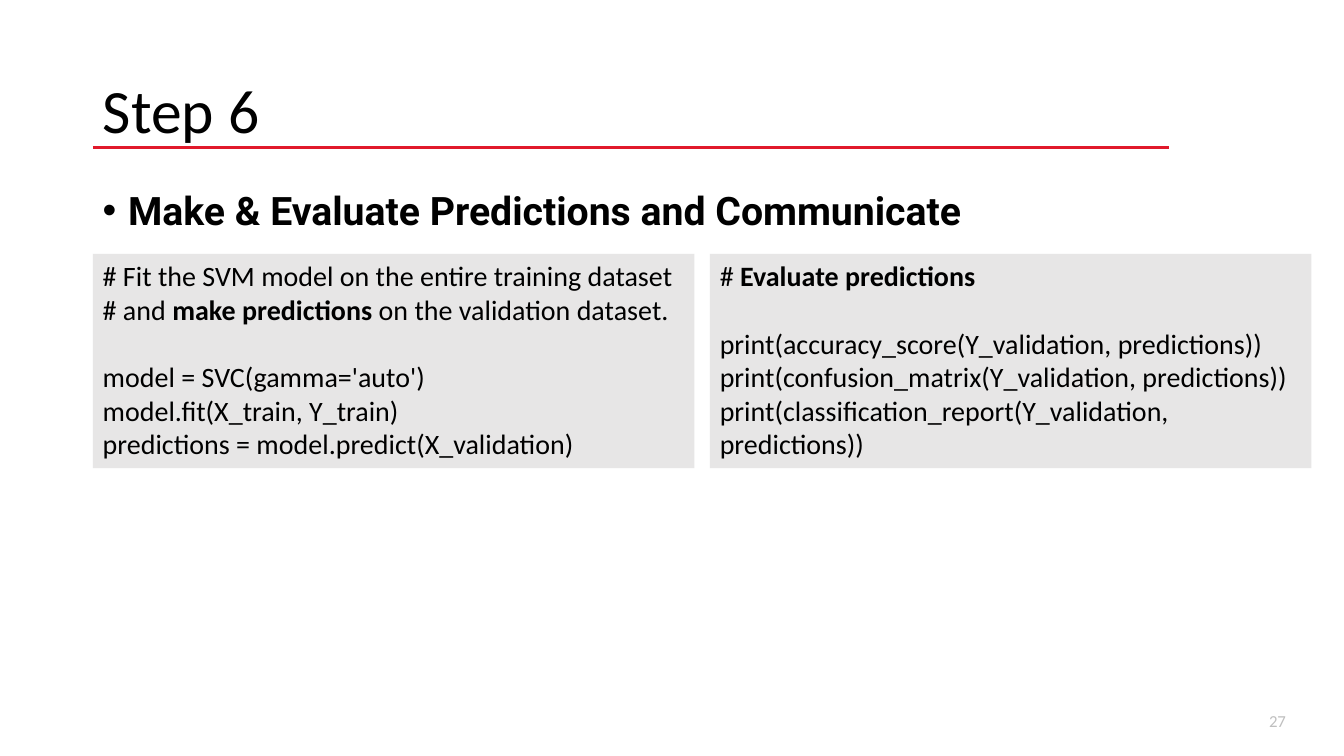
from lxml import etree
from pptx import Presentation
from pptx.dml.color import RGBColor
from pptx.enum.shapes import MSO_CONNECTOR, MSO_SHAPE
from pptx.enum.text import MSO_ANCHOR, MSO_AUTO_SIZE, PP_ALIGN
from pptx.oxml.ns import qn
from pptx.util import Cm, Pt

LINE, RECT = MSO_CONNECTOR.STRAIGHT, MSO_SHAPE.RECTANGLE
TOP, MIDDLE = MSO_ANCHOR.TOP, MSO_ANCHOR.MIDDLE
LEFT, RIGHT = PP_ALIGN.LEFT, PP_ALIGN.RIGHT
FIXED = MSO_AUTO_SIZE.NONE

BLACK = RGBColor(0x00, 0x00, 0x00)
RED = RGBColor(0xE1, 0x19, 0x2B)
PALE = RGBColor(0xE7, 0xE6, 0xE6)
GREY = RGBColor(0xBF, 0xBF, 0xBF)

MARGIN = Cm(2.34)
WIDTH = Cm(29.21)

# Each code paragraph is a list of (text, bold) runs
FIT = [
    [("# Fit the SVM model on the entire training dataset # and ", False),
     ("make predictions ", True),
     ("on the validation dataset.", False)],
    [("model = SVC(gamma='auto')", False)],
    [("model.fit(X_train, Y_train)", False)],
    [("predictions = model.predict(X_validation)", False)],
]
SCORE = [
    [("# ", False), ("Evaluate predictions", True)],
    [("print(accuracy_score(Y_validation, predictions))", False)],
    [("print(confusion_matrix(Y_validation, predictions))", False)],
    [("print(classification_report(Y_validation, predictions))", False)],
]


def style(para, size, name="Calibri", color=BLACK, align=LEFT):
    para.alignment = align
    para.font.size = Pt(size)
    para.font.name = name
    para.font.color.rgb = color


def setup(frame, anchor):
    frame.word_wrap = True
    frame.auto_size = FIXED
    frame.vertical_anchor = anchor


def add_text(slide, box, text, anchor=TOP):
    frame = slide.shapes.add_textbox(*box).text_frame
    setup(frame, anchor)
    para = frame.paragraphs[0]
    para.text = text
    return para


def add_head(slide, box, text):
    left, top, width, height = box
    # Red rule under the title
    y = top + Cm(2.69)
    rule = slide.shapes.add_connector(LINE, left, y, left + Cm(27.13), y)
    rule.line.color.rgb = RED
    rule.line.width = Pt(2)
    etree.SubElement(rule._element.spPr, qn("a:effectLst"))
    # Title
    title = slide.shapes.title
    title.left, title.top, title.width, title.height = box
    title.text = text
    setup(title.text_frame, MIDDLE)
    para = title.text_frame.paragraphs[0]
    style(para, 44)
    para.line_spacing = 0.9


def add_topic(slide, box, text):
    para = add_text(slide, box, text)
    style(para, 28, "Roboto")
    para.font.bold = True
    para.line_spacing = 0.9
    para.space_before = Pt(10)
    # Hanging bullet
    props = para._p.get_or_add_pPr()
    indent = Cm(0.64)
    props.set("marL", str(indent))
    props.set("indent", str(-indent))
    etree.SubElement(props, qn("a:buFont")).set("typeface", "Arial")
    etree.SubElement(props, qn("a:buChar")).set("char", "•")


def add_code(slide, box, lines):
    panel = slide.shapes.add_shape(RECT, *box)
    panel.shadow.inherit = False
    panel.fill.solid()
    panel.fill.fore_color.rgb = PALE
    panel.line.fill.background()
    frame = panel.text_frame
    setup(frame, TOP)
    for i, runs in enumerate(lines):
        para = frame.add_paragraph() if i else frame.paragraphs[0]
        style(para, 20)
        for text, bold in runs:
            run = para.add_run()
            run.text = text
            run.font.bold = bold
    # Gap of one line between the comment and the code
    frame.paragraphs[0].space_after = Pt(24)


def add_page(slide, box, number):
    para = add_text(slide, box, number, MIDDLE)
    style(para, 12, color=GREY, align=RIGHT)


def main():
    deck = Presentation()
    deck.slide_width, deck.slide_height = Cm(33.87), Cm(19.05)
    slide = deck.slides.add_slide(deck.slide_layouts[5])
    add_head(slide, (MARGIN, Cm(1.02), WIDTH, Cm(3.68)), "Step 6")
    add_topic(slide, (MARGIN, Cm(4.7), WIDTH, Cm(1.9)),
              "Make & Evaluate Predictions and Communicate")
    # Two code panels side by side
    wide, gap = Cm(15.16), Cm(0.39)
    for i, lines in enumerate((FIT, SCORE)):
        left = MARGIN + i * (wide + gap)
        add_code(slide, (left, Cm(6.4), wide, Cm(5.4)), lines)
    add_page(slide, (Cm(25.04), Cm(17.65), Cm(7.62), Cm(1.02)), "27")
    deck.save("out.pptx")


if __name__ == "__main__":
    main()
